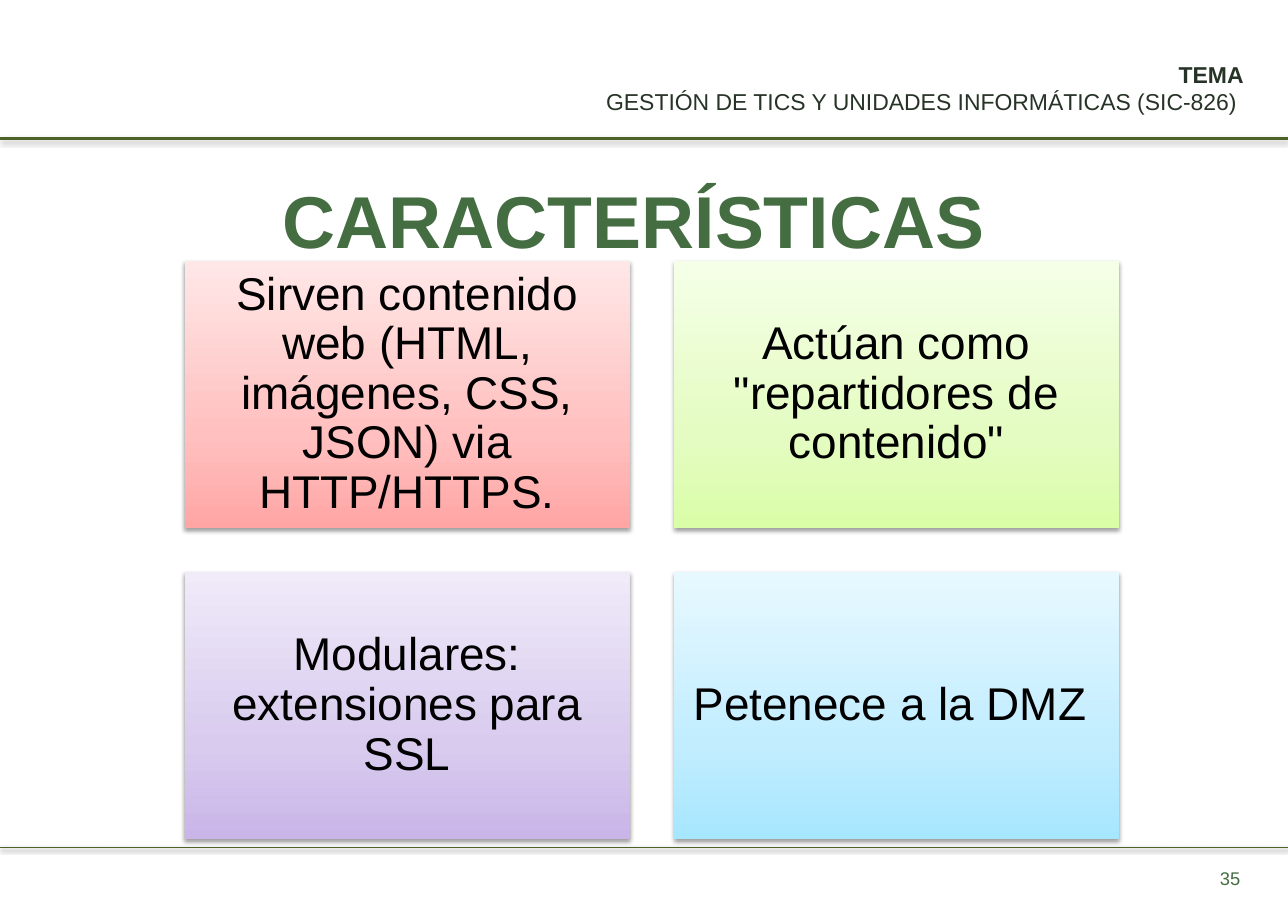
import copy
from dataclasses import dataclass

import lxml.etree
import pptx
import pptx.dml.color
import pptx.enum.shapes
import pptx.enum.text
import pptx.oxml
import pptx.oxml.ns
import pptx.util

Cm = pptx.util.Cm
Pt = pptx.util.Pt
RGBColor = pptx.dml.color.RGBColor
Align = pptx.enum.text.PP_ALIGN
Anchor = pptx.enum.text.MSO_ANCHOR


@dataclass
class Theme:
    font: str = "Arial"
    rule: str = "4E6128"
    header: str = "273326"
    accent: str = "446E42"
    card_text: str = "000000"
    header_size: int = 15
    title_size: int = 48
    card_size: int = 30
    number_size: int = 12


theme = Theme()


def write(shape, lines, size, color, align, anchor, inset_x, inset_y):
    frame = shape.text_frame
    frame_format = {
        "word_wrap": True, "vertical_anchor": anchor,
        "auto_size": pptx.enum.text.MSO_AUTO_SIZE.NONE,
        "margin_left": Cm(inset_x), "margin_right": Cm(inset_x),
        "margin_top": Cm(inset_y), "margin_bottom": Cm(inset_y),
    }
    for name, value in frame_format.items():
        setattr(frame, name, value)
    frame.text = "\n".join(text for text, bold in lines)
    for paragraph, (text, bold) in zip(frame.paragraphs, lines):
        paragraph.alignment = align
        font = paragraph.runs[0].font
        font_format = {"name": theme.font, "size": Pt(size), "bold": bold}
        for name, value in font_format.items():
            setattr(font, name, value)
        font.color.rgb = RGBColor.from_string(color)


def add_shadow(shape):
    properties = shape._element.spPr
    properties.append(pptx.oxml.parse_xml(
        f'<a:effectLst {pptx.oxml.ns.nsdecls("a")}>'
        '<a:outerShdw blurRad="40000" dist="20000" dir="5400000" rotWithShape="0">'
        '<a:srgbClr val="000000"><a:alpha val="38000"/></a:srgbClr>'
        '</a:outerShdw></a:effectLst>'))


presentation = pptx.Presentation()
presentation.slide_width = Cm(29.7)
presentation.slide_height = Cm(21)
slide = presentation.slides.add_slide(presentation.slide_layouts[5])

for height, width in [(3.2, 2), (19.53, 0.75)]:
    rule = slide.shapes.add_connector(
        pptx.enum.shapes.MSO_CONNECTOR.STRAIGHT,
        Cm(0), Cm(height), presentation.slide_width, Cm(height))
    rule.line.color.rgb = RGBColor.from_string(theme.rule)
    rule.line.width = Pt(width)
    add_shadow(rule)

header = slide.shapes.add_textbox(Cm(10.57), Cm(1.24), Cm(18.39), Cm(1.55))
header_lines = [("TEMA", True),
                ("GESTIÓN DE TICS Y UNIDADES INFORMÁTICAS (SIC-826) ", False)]
write(header, header_lines, theme.header_size, theme.header,
      Align.RIGHT, Anchor.BOTTOM, 0.28, 0.13)

title = slide.shapes.title
title_place = {"left": Cm(0.84), "top": Cm(3.63), "width": Cm(28.02), "height": Cm(2.36)}
for name, value in title_place.items():
    setattr(title, name, value)
write(title, [("CARACTERÍSTICAS ", True)], theme.title_size, theme.accent,
      Align.CENTER, Anchor.TOP, 0.25, 0.4)

number = slide.shapes.add_textbox(Cm(21.95), Cm(19.69), Cm(6.93), Cm(1.12))
write(number, [("35", False)], theme.number_size, theme.accent,
      Align.RIGHT, Anchor.MIDDLE, 0.28, 0.13)

cards = [
    ("Sirven contenido web (HTML, imágenes, CSS, JSON) via HTTP/HTTPS.",
     ["FFA6A5", "FFC0BF", "FFE7E7"]),
    ('Actúan como "repartidores de contenido"', ["DAFDA7", "E4FCC2", "F5FFE7"]),
    ("Modulares: extensiones para SSL", ["C9B5E8", "D8CBEE", "F0EAF9"]),
    ("Petenece a la DMZ ", ["A7E6FF", "C1EDFF", "E7F8FF"]),
]
card_width, card_height, gap = 10.26, 6.15, 1.02
for index, (text, colors) in enumerate(cards):
    row, column = divmod(index, 2)
    card = slide.shapes.add_shape(
        pptx.enum.shapes.MSO_SHAPE.RECTANGLE,
        Cm(4.26 + column * (card_width + gap)), Cm(6.02 + row * (card_height + gap)),
        Cm(card_width), Cm(card_height))
    card.fill.gradient()
    card.fill.gradient_angle = 90
    first_stop = card._element.spPr.find(".//" + pptx.oxml.ns.qn("a:gs"))
    first_stop.addnext(copy.deepcopy(first_stop))
    for stop, color, position in zip(card.fill.gradient_stops, colors, [0, 0.35, 1]):
        stop.color.rgb = RGBColor.from_string(color)
        stop.position = position
    card.line.fill.background()
    add_shadow(card)
    write(card, [(text, False)], theme.card_size, theme.card_text,
          Align.CENTER, Anchor.MIDDLE, 0.3, 0.3)
    card.text_frame.paragraphs[0].line_spacing = 0.9

presentation.save("out.pptx")
